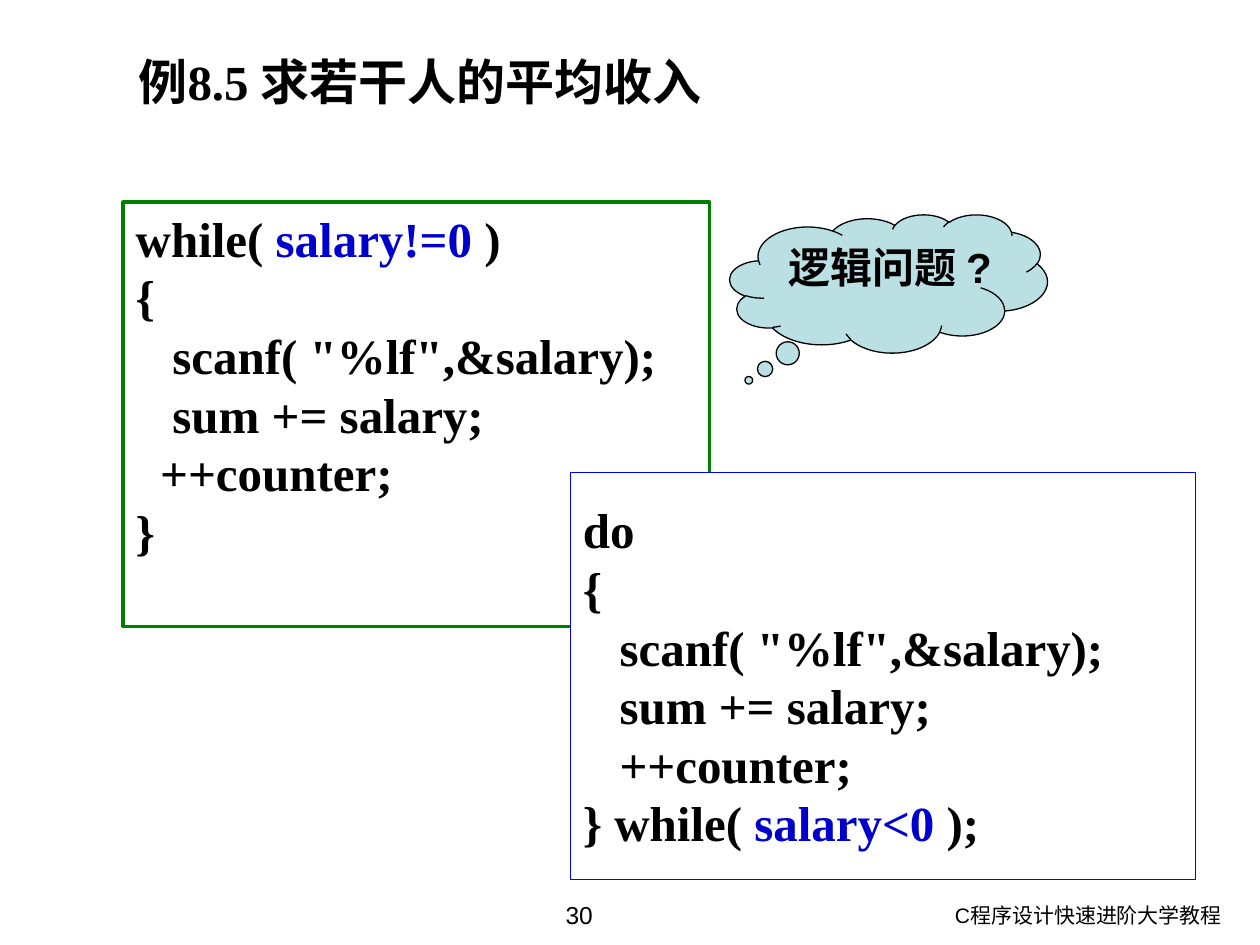
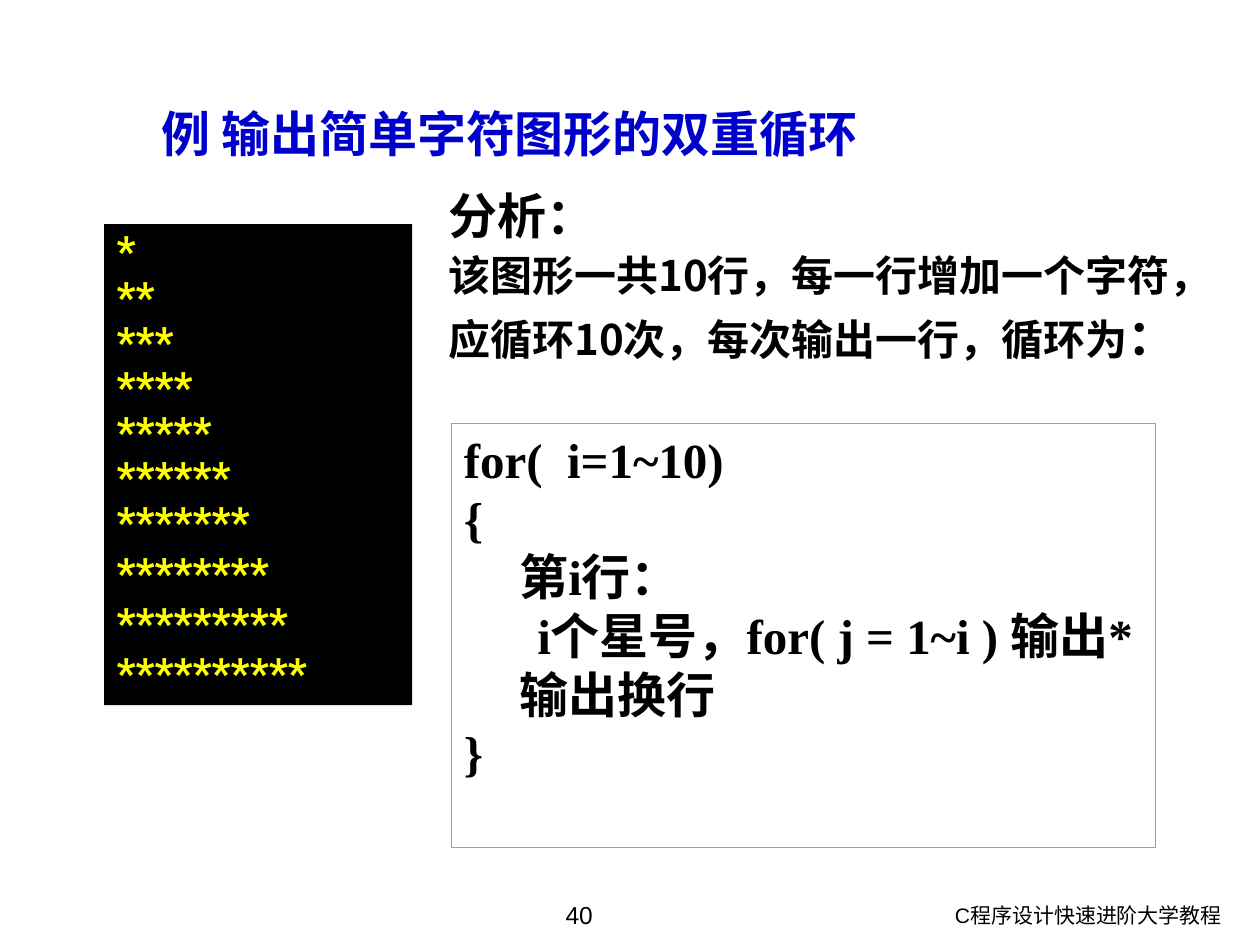
from dataclasses import dataclass
from typing import NamedTuple

from lxml import etree
from pptx import Presentation
from pptx.dml.color import RGBColor
from pptx.enum import shapes, text
from pptx.oxml import ns
from pptx.util import Pt

BLACK = RGBColor(0x00, 0x00, 0x00)
WHITE = RGBColor(0xFF, 0xFF, 0xFF)
BLUE = RGBColor(0x00, 0x00, 0xCC)
BORDER_BLUE = RGBColor(0x00, 0x00, 0xFF)
GREEN = RGBColor(0x00, 0x80, 0x00)
TEAL = RGBColor(0x33, 0xCC, 0xCC)
CLOUD_BLUE = RGBColor(0xBB, 0xE0, 0xE3)
YELLOW = RGBColor(0xFF, 0xFF, 0x00)

SERIF, SANS, STAR_FONT = "Times New Roman", "Arial", "Roboto"
CHINESE = "Noto Sans CJK SC"
CODE_LEADING = Pt(33.5)
COURSE = "C程序设计快速进阶大学教程"


class Area(NamedTuple):
    """Left, top, width and height in points."""
    left: float
    top: float
    width: float
    height: float

    def lengths(self) -> list[int]:
        return [Pt(value) for value in self]


class Run(NamedTuple):
    words: str
    color: RGBColor | None = None
    size: float | None = None


@dataclass(frozen=True)
class Line:
    runs: tuple[Run, ...]
    leading: float | int | None = None
    before: float = 0


@dataclass(frozen=True)
class Panel:
    area: Area
    lines: list[Line]
    fill: RGBColor = WHITE
    border: RGBColor | None = None
    border_width: float = 0.75
    kind: shapes.MSO_SHAPE = shapes.MSO_SHAPE.RECTANGLE


COURSE_AREA = Area(473, 512, 232.5, 28)
NUMBER_AREA = Area(247, 510.5, 168, 29.5)


def plain(*rows: str, leading: float | int | None = None) -> list[Line]:
    """One single-run line for each row of text."""
    return [Line((Run(row),), leading) for row in rows]


def write(frame, lines: list[Line], *, size: float, font: str = SERIF,
          color: RGBColor = BLACK, bold: bool = True,
          align=text.PP_ALIGN.LEFT, anchor=text.MSO_ANCHOR.TOP,
          leading: float | int | None = None) -> None:
    frame.word_wrap = True
    frame.auto_size = text.MSO_AUTO_SIZE.NONE
    frame.vertical_anchor = anchor
    frame.margin_left = frame.margin_right = Pt(7.2)
    frame.margin_top = frame.margin_bottom = Pt(3.6)
    for index, line in enumerate(lines):
        paragraph = frame.add_paragraph() if index else frame.paragraphs[0]
        paragraph.alignment = align
        paragraph.space_before = Pt(line.before)
        paragraph.line_spacing = line.leading or leading
        for part in line.runs:
            run = paragraph.add_run()
            run.text = part.words
            run.font.name = font
            run.font.size = Pt(part.size or size)
            run.font.bold = bold
            run.font.color.rgb = part.color or color
            east_asian = etree.SubElement(run.font._element, ns.qn("a:ea"))
            east_asian.set("typeface", CHINESE)


def place(placeholder, area: Area) -> None:
    (placeholder.left, placeholder.top,
     placeholder.width, placeholder.height) = area.lengths()


def remove_bullets(frame) -> None:
    for paragraph in frame.paragraphs:
        properties = paragraph._p.get_or_add_pPr()
        properties.set("marL", "0")
        properties.set("indent", "0")
        etree.SubElement(properties, ns.qn("a:buNone"))


def add_panel(slide, panel: Panel, **text_format):
    shape = slide.shapes.add_shape(panel.kind, *panel.area.lengths())
    shape.shadow.inherit = False
    shape.fill.solid()
    shape.fill.fore_color.rgb = panel.fill
    if panel.border is None:
        shape.line.fill.background()
    else:
        shape.line.color.rgb = panel.border
        shape.line.width = Pt(panel.border_width)
    write(shape.text_frame, panel.lines, **text_format)
    return shape


def add_note(slide, area: Area, words: str, **text_format) -> None:
    note = slide.shapes.add_textbox(*area.lengths())
    write(note.text_frame, plain(words), font=SANS, bold=False, **text_format)


def start_slide(deck, layout: int, number: int, title: str, title_area: Area,
                **title_format):
    """A slide with its title, course name and page number."""
    slide = deck.slides.add_slide(deck.slide_layouts[layout])
    place(slide.shapes.title, title_area)
    write(slide.shapes.title.text_frame, plain(title), size=28, **title_format)
    add_note(slide, COURSE_AREA, COURSE, size=12, align=text.PP_ALIGN.RIGHT)
    add_note(slide, NUMBER_AREA, str(number), size=14,
             align=text.PP_ALIGN.CENTER)
    return slide


def add_average_income(deck) -> None:
    slide = start_slide(deck, 5, 30, "例8.5 求若干人的平均收入",
                        Area(72, 26, 648, 50))
    while_loop = Panel(
        Area(70.5, 115.5, 335, 242.5),
        [Line((Run("while( "), Run("salary!=0", BLUE), Run(" )"))),
         *plain("{", '   scanf( "%lf",&salary);', "   sum += salary;",
                "  ++counter;", "}")],
        border=GREEN, border_width=2.25)
    do_loop = Panel(
        Area(326, 270, 357, 232.5),
        [*plain("do", "{", '   scanf( "%lf",&salary);', "   sum += salary;",
                "   ++counter;"),
         Line((Run("} while( "), Run("salary<0", BLUE), Run(" );")))],
        border=BORDER_BLUE)
    question = Panel(Area(417, 122.5, 181.5, 79), plain("逻辑问题 ?"),
                     fill=CLOUD_BLUE, border=BLACK,
                     kind=shapes.MSO_SHAPE.CLOUD_CALLOUT)
    add_panel(slide, while_loop, size=28, leading=CODE_LEADING)
    add_panel(slide, do_loop, size=28, leading=CODE_LEADING,
              anchor=text.MSO_ANCHOR.MIDDLE)
    cloud = add_panel(slide, question, size=24, font=SANS,
                      align=text.PP_ALIGN.CENTER)
    cloud.adjustments[0], cloud.adjustments[1] = -0.44, 0.7


def add_star_triangle(deck) -> None:
    slide = start_slide(deck, 1, 40, "例 输出简单字符图形的双重循环",
                        Area(85, 55.5, 418, 41), font=STAR_FONT, color=BLUE)
    star_rows = [line for count in range(1, 11)
                 for line in plain("*" * count,
                                   leading=Pt(25.8 if count < 8 else 28.7))]
    stars = Panel(Area(59.5, 128, 176, 275), star_rows, fill=BLACK)
    add_panel(slide, stars, size=24, font=STAR_FONT, color=YELLOW)

    analysis = slide.placeholders[1]
    place(analysis, Area(249, 106, 471, 238))
    write(analysis.text_frame, [
        Line((Run("分析：", size=28),)),
        Line((Run("该图形一共10行，每一行增加一个字符，"),), before=6),
        Line((Run("应循环10次，每次输出一行，循环为"), Run("：", size=28)),
             before=7),
    ], size=24, font=CHINESE, leading=0.9)
    remove_bullets(analysis.text_frame)

    for_loop = Panel(
        Area(258, 242, 402.5, 242.5),
        plain("for(  i=1~10)", "{", "     第i行：",
              "      i个星号，for( j = 1~i ) 输出*", "     输出换行", "}"),
        border=TEAL)
    add_panel(slide, for_loop, size=28, leading=CODE_LEADING)


def main() -> None:
    deck = Presentation()
    deck.slide_width, deck.slide_height = Pt(720), Pt(540)
    add_average_income(deck)
    add_star_triangle(deck)
    deck.save("out.pptx")


if __name__ == "__main__":
    main()
